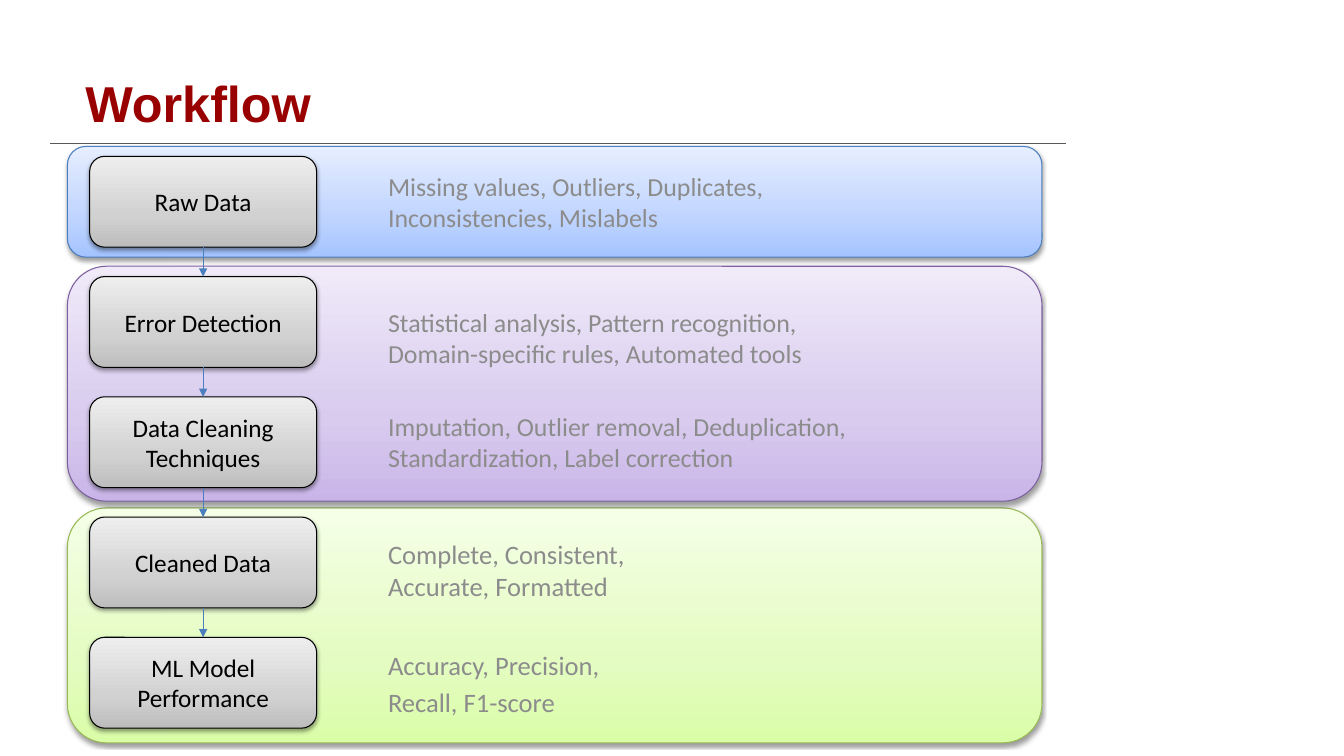
import copy
import pptx
import pptx.util
import pptx.oxml
import pptx.oxml.ns
import pptx.dml.color
import pptx.enum.shapes
import pptx.enum.text

Cm, Pt = pptx.util.Cm, pptx.util.Pt
SHAPE = pptx.enum.shapes.MSO_SHAPE.ROUNDED_RECTANGLE
ANCHOR = pptx.enum.text.MSO_ANCHOR
ALIGN = pptx.enum.text.PP_ALIGN
qn = pptx.oxml.ns.qn

COLORS = {"title": "990000", "rule": "595959", "arrow": "4B7EBC",
          "note": "8C8C8C", "black": "000000"}
# Gradient colours run from the bottom edge to the top edge.
FADES = {
    "green": (("DAFDA7", "E4FCC2", "F5FFE7"), "98B955"),
    "purple": (("C9B5E8", "D8CBEE", "F0EAF9"), "7D60A0"),
    "blue": (("A4C4FF", "BFD4FF", "E6EEFF"), "4B7EBC"),
    "gray": (("BDBDBD", "D1D1D1", "EEEEEE"), "000000"),
}
STOPS = (0, 0.35, 1)

TITLE = "Workflow"
# fade, top, height
BANDS = [("green", 12.8, 5.92), ("purple", 6.71, 5.92), ("blue", 3.69, 2.79)]
STEPS = ["Raw Data", "Error Detection", "Data Cleaning Techniques",
         "Cleaned Data", "ML Model Performance"]
# paragraphs, top, width, height, font size
NOTES = [
    (["Missing values, Outliers, Duplicates,\vInconsistencies, Mislabels"],
     4.17, 10.8, 1.85, 18.5),
    (["Statistical analysis, Pattern recognition, "
      "Domain-specific rules, Automated tools"], 7.59, 11.63, 1.96, 18.5),
    (["Imputation, Outlier removal, Deduplication, "
      "Standardization, Label correction"], 10.21, 12.9, 1.96, 18.5),
    (["Complete, Consistent,\vAccurate, Formatted"], 13.44, 11.63, 1.96, 19),
    (["Accuracy, Precision,", "Recall, F1-score"], 16.23, 11.63, 1.96, 19),
]

BAND_LEFT, BAND_WIDTH = 1.7, 24.56
STEP_LEFT, STEP_TOP, STEP_WIDTH, STEP_HEIGHT = 2.26, 3.94, 5.72, 2.29
STEP_PITCH = 3.03
NOTE_LEFT = 9.53


def rgb(name):
    return pptx.dml.color.RGBColor.from_string(COLORS.get(name, name))


def style(par, font, size, color, bold=False):
    par.font.name = font
    par.font.size = Pt(size)
    par.font.bold = bold
    par.font.color.rgb = rgb(color)


def add_panel(slide, fade, left, top, width, height):
    """Add a rounded box with a three-stop gradient and a soft shadow."""
    panel = slide.shapes.add_shape(SHAPE, Cm(left), Cm(top), Cm(width), Cm(height))
    colors, edge = FADES[fade]
    panel.fill.gradient()
    panel.fill.gradient_angle = 90
    props = panel._element.spPr
    stops = props.find(".//" + qn("a:gsLst"))
    stops.append(copy.deepcopy(stops[0]))
    for stop, color, place in zip(panel.fill.gradient_stops, colors, STOPS):
        stop.color.rgb = rgb(color)
        stop.position = place
    panel.line.color.rgb = rgb(edge)
    panel.line.width = Pt(0.75)
    panel.shadow.inherit = False
    props.find(qn("a:effectLst")).append(pptx.oxml.parse_xml(
        f'<a:outerShdw {pptx.oxml.ns.nsdecls("a")} blurRad="{Pt(3.1)}" '
        f'dist="{Pt(1.6)}" dir="5400000" rotWithShape="0">'
        '<a:srgbClr val="000000"><a:alpha val="38000"/></a:srgbClr></a:outerShdw>'))
    return panel


def add_line(slide, start, end, color, arrow=False):
    line = slide.shapes.add_connector(
        pptx.enum.shapes.MSO_CONNECTOR.STRAIGHT, *map(Cm, start + end))
    line.line.color.rgb = rgb(color)
    line.line.width = Pt(0.75)
    props = line._element.spPr
    if arrow:
        tail = props.find(qn("a:ln")).makeelement(qn("a:tailEnd"), {"type": "triangle"})
        props.find(qn("a:ln")).append(tail)
    props.append(props.makeelement(qn("a:effectLst"), {}))


def add_text(slide, left, top, width, height, lines):
    frame = slide.shapes.add_textbox(
        Cm(left), Cm(top), Cm(width), Cm(height)).text_frame
    frame.word_wrap = True
    frame.text = "\n".join(lines)
    return frame


def main():
    deck = pptx.Presentation()
    deck.slide_width, deck.slide_height = Cm(33.87), Cm(19.05)
    slide = deck.slides.add_slide(deck.slide_layouts[6])

    for fade, top, height in BANDS:
        add_panel(slide, fade, BAND_LEFT, top, BAND_WIDTH, height)

    title = add_text(slide, 1.9, 1.19, 17.58, 2.79, [TITLE])
    title.vertical_anchor = ANCHOR.MIDDLE
    style(title.paragraphs[0], "Arial", 36, "title", bold=True)
    add_line(slide, (1.27, 3.61), (26.87, 3.61), "rule")

    tops = [STEP_TOP + i * STEP_PITCH for i in range(len(STEPS))]
    for label, top in zip(STEPS, tops):
        frame = add_panel(slide, "gray", STEP_LEFT, top,
                          STEP_WIDTH, STEP_HEIGHT).text_frame
        frame.word_wrap = True
        frame.vertical_anchor = ANCHOR.MIDDLE
        frame.text = label
        frame.paragraphs[0].alignment = ALIGN.CENTER
        style(frame.paragraphs[0], "Calibri", 18, "black")

    center = STEP_LEFT + STEP_WIDTH / 2
    for top, below in zip(tops, tops[1:]):
        add_line(slide, (center, top + STEP_HEIGHT), (center, below),
                 "arrow", arrow=True)

    for lines, top, width, height, size in NOTES:
        for par in add_text(slide, NOTE_LEFT, top, width, height, lines).paragraphs:
            par.space_before = Pt(3.8)
            style(par, "Calibri", size, "note")

    deck.save("out.pptx")


if __name__ == "__main__":
    main()
